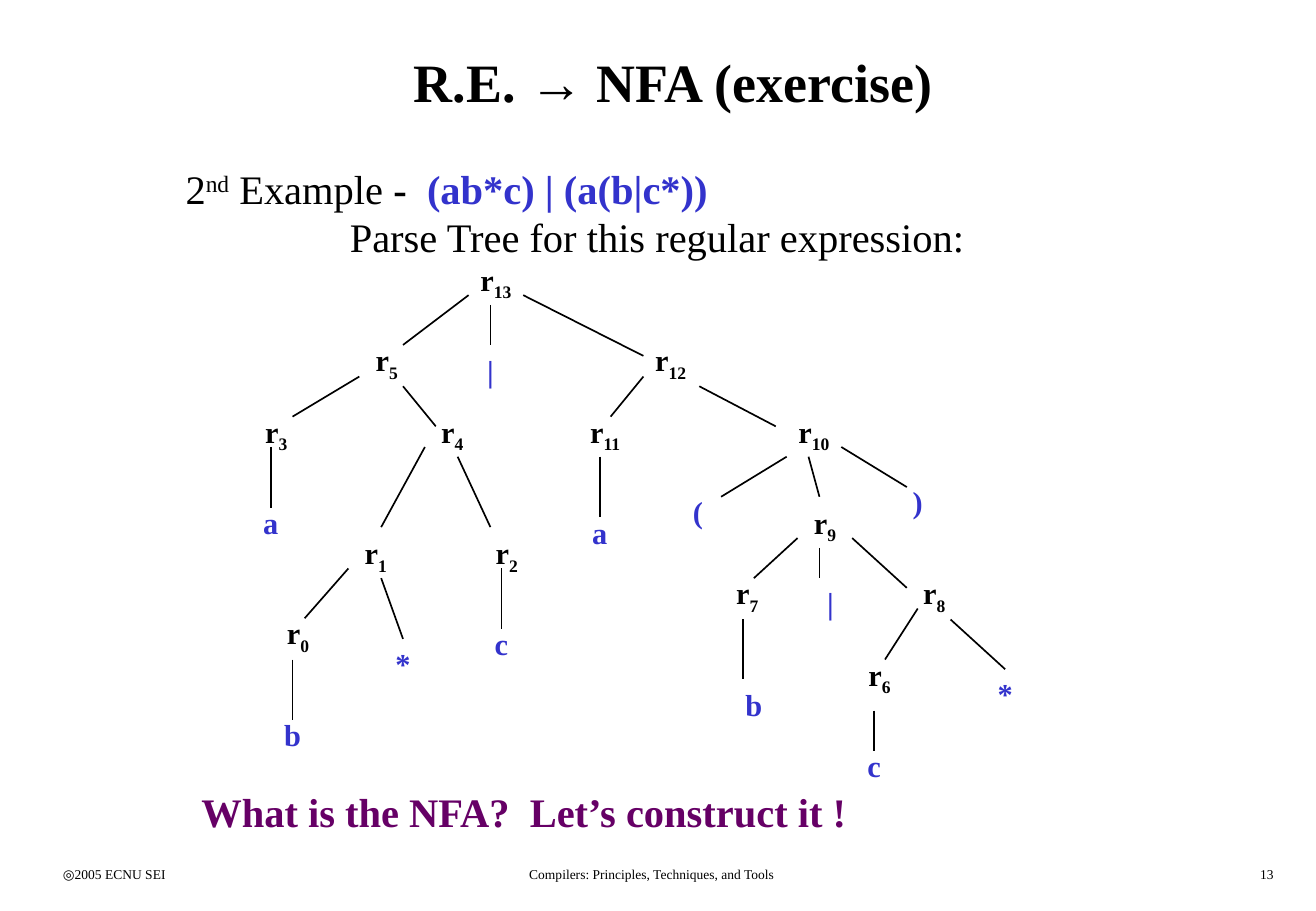
import dataclasses
import typing

import pptx
import pptx.dml.color
import pptx.enum.shapes
import pptx.enum.text
import pptx.oxml.ns
import pptx.oxml.xmlchemy
import pptx.util
from lxml import etree

Inches = pptx.util.Inches
Align = pptx.enum.text.PP_ALIGN
Anchor = pptx.enum.text.MSO_ANCHOR

SERIF = "Times New Roman"
BLACK = "000000"
BLUE = "3333CC"
PURPLE = "660066"
NODE_SIZE = (0.81, 0.44)
TOKEN_SIZE = (0.54, 0.4)


@dataclasses.dataclass(frozen=True)
class Span:
    text: str
    size: float
    color: str = BLACK
    bold: bool = False
    font: str = SERIF
    baseline: int = 0


@dataclasses.dataclass(frozen=True)
class Label:
    left: float
    top: float
    width: float
    height: float
    lines: list[list[Span]]
    aligns: list[typing.Any]
    anchor: typing.Any = Anchor.TOP


class Node(typing.NamedTuple):
    index: str
    left: float
    top: float


class Token(typing.NamedTuple):
    symbol: str
    left: float
    top: float


class Edge(typing.NamedTuple):
    x1: float
    y1: float
    x2: float
    y2: float


NODES = [
    Node("13", 3.68, 2.1),
    Node("12", 5.12, 2.76),
    Node("5", 2.78, 2.76),
    Node("3", 1.87, 3.35),
    Node("11", 4.58, 3.35),
    Node("4", 3.32, 3.35),
    Node("9", 6.39, 4.1),
    Node("10", 6.3, 3.35),
    Node("8", 7.29, 4.68),
    Node("7", 5.75, 4.68),
    Node("6", 6.84, 5.35),
    Node("0", 2.05, 5.01),
    Node("1", 2.69, 4.35),
    Node("2", 3.77, 4.35),
]

EDGES = [
    Edge(6.93, 3.68, 7.47, 4.01),
    Edge(2.51, 5.09, 2.87, 4.68),
    Edge(2.41, 3.43, 2.96, 3.1),
    Edge(3.14, 4.34, 3.5, 3.68),
    Edge(3.77, 3.76, 4.04, 4.34),
    Edge(3.32, 3.18, 3.59, 3.51),
    Edge(5.03, 3.43, 5.3, 3.1),
    Edge(7.29, 5.43, 7.56, 5.01),
    Edge(6.21, 4.76, 6.57, 4.43),
    Edge(7.02, 4.43, 7.47, 4.84),
    Edge(6.66, 3.76, 6.75, 4.09),
    Edge(5.76, 3.18, 6.39, 3.51),
    Edge(4.31, 2.43, 5.3, 2.93),
    Edge(3.32, 2.84, 3.86, 2.43),
    Edge(3.14, 4.76, 3.32, 5.26),
    Edge(4.13, 4.68, 4.13, 5.18),
    Edge(2.23, 3.68, 2.23, 4.18),
    Edge(2.41, 5.43, 2.41, 5.93),
    Edge(7.83, 5.1, 8.28, 5.51),
    Edge(7.2, 5.85, 7.2, 6.18),
    Edge(6.12, 5.1, 6.12, 5.59),
    Edge(6.75, 4.51, 6.75, 4.76),
    Edge(4.94, 3.76, 4.94, 4.26),
    Edge(4.04, 2.51, 4.04, 2.84),
    Edge(6.48, 3.76, 5.94, 4.09),
]

TOKENS = [
    Token("b", 2.14, 5.85),
    Token("*", 3.05, 5.26),
    Token("c", 3.86, 5.1),
    Token("a", 1.96, 4.1),
    Token("a", 4.67, 4.18),
    Token("|", 3.77, 2.85),
    Token("(", 5.48, 4.01),
    Token(")", 7.29, 3.93),
    Token("b", 5.94, 5.6),
    Token("|", 6.57, 4.76),
    Token("*", 8.01, 5.51),
    Token("c", 6.93, 6.1),
]

FOOTERS = [
    Label(0.42, 7.08, 2.26, 0.25, [[Span("◎2005 ECNU SEI", 8)]], [Align.LEFT]),
    Label(3.34, 7.08, 4.06, 0.25,
          [[Span("Compilers: Principles, Techniques, and Tools", 8)]], [Align.CENTER]),
    Label(8.33, 7.08, 2.26, 0.25, [[Span("13", 8)]], [Align.RIGHT]),
]

TITLE = Label(
    0.42, 0.17, 10.25, 1,
    [[Span("R.E. ", 32, bold=True), Span("→", 32, bold=True, font="Arial"),
      Span(" NFA (exercise)", 32, bold=True)]],
    [Align.CENTER], Anchor.MIDDLE)

EXAMPLE = Label(
    1.43, 1.3, 8.05, 0.9,
    [[Span("2", 24), Span("nd", 24, baseline=30), Span(" Example", 24),
      Span(" -  ", 24, bold=True), Span("(ab*c) | (a(b|c*))", 24, BLUE, True)],
     [Span("Parse Tree for this regular expression: ", 24)]],
    [Align.LEFT, Align.CENTER])

QUESTION = Label(
    1.56, 6.43, 6.59, 0.5,
    [[Span("What is the NFA?  Let’s construct it !", 24, PURPLE, True)]], [Align.LEFT])


def rgb(value: str) -> pptx.dml.color.RGBColor:
    return pptx.dml.color.RGBColor.from_string(value)


def add_span(para: typing.Any, item: Span) -> None:
    span = para.add_run()
    span.text = item.text
    formats = {"name": item.font, "size": pptx.util.Pt(item.size), "bold": item.bold}
    for name, value in formats.items():
        setattr(span.font, name, value)
    span.font.color.rgb = rgb(item.color)
    if item.baseline:
        span._r.get_or_add_rPr().set("baseline", str(item.baseline * 1000))


def add_label(shapes: typing.Any, label: Label) -> None:
    box = shapes.add_textbox(*map(Inches, (label.left, label.top, label.width, label.height)))
    frame = box.text_frame
    formats = {"word_wrap": True, "vertical_anchor": label.anchor}
    for name, value in formats.items():
        setattr(frame, name, value)
    for number, (line, align) in enumerate(zip(label.lines, label.aligns)):
        para = frame.add_paragraph() if number else frame.paragraphs[0]
        para.alignment = align
        for item in line:
            add_span(para, item)


def add_edge(shapes: typing.Any, edge: Edge) -> None:
    line = shapes.add_connector(
        pptx.enum.shapes.MSO_CONNECTOR.STRAIGHT, *map(Inches, edge))
    line.line.color.rgb = rgb(BLACK)
    line.line.width = pptx.util.Pt(1)
    etree.SubElement(line._element.spPr, pptx.oxml.ns.qn("a:effectLst"))


def add_tree(shapes: typing.Any) -> None:
    for node in NODES:
        spans = [Span("r", 18, bold=True), Span(node.index, 18, bold=True, baseline=-25)]
        add_label(shapes, Label(node.left, node.top, *NODE_SIZE, [spans], [Align.CENTER]))
    for edge in EDGES:
        add_edge(shapes, edge)
    for token in TOKENS:
        spans = [Span(token.symbol, 18, BLUE, True)]
        add_label(shapes, Label(token.left, token.top, *TOKEN_SIZE, [spans], [Align.CENTER]))


def main() -> None:
    deck = pptx.Presentation()
    deck.slide_width = Inches(10.84)
    deck.slide_height = Inches(7.5)
    page = deck.slides.add_slide(deck.slide_layouts[6])
    for label in [*FOOTERS, TITLE]:
        add_label(page.shapes, label)
    add_tree(page.shapes.add_group_shape().shapes)
    for label in (EXAMPLE, QUESTION):
        add_label(page.shapes, label)
    deck.save("out.pptx")


if __name__ == "__main__":
    main()
